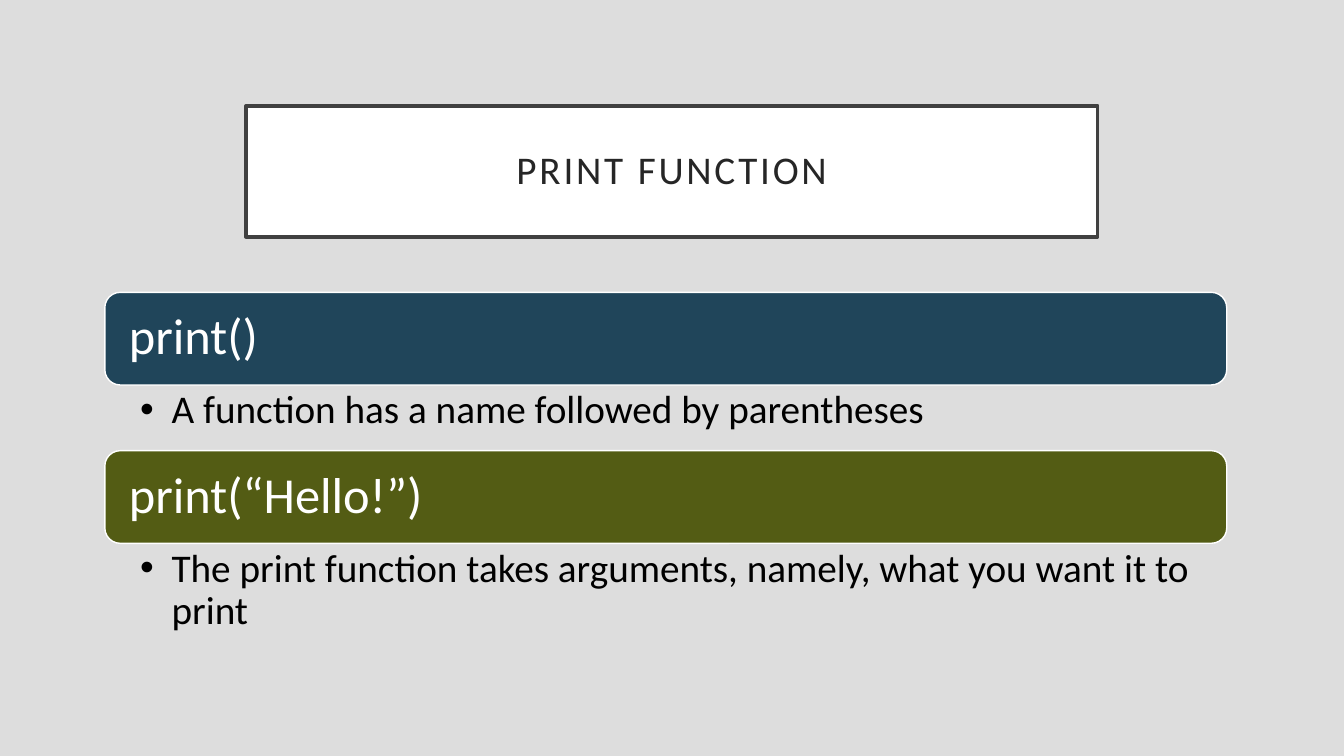
import pptx
import pptx.dml.color
import pptx.enum.shapes
import pptx.enum.text
import pptx.oxml
import pptx.oxml.ns
import pptx.util

Pt = pptx.util.Pt
LEFT, WIDTH = 74.9, 801.4
FIRST_TOP, PITCH, BAR_HEIGHT = 208.8, 113.1, 66.2
SECTIONS = [
    ("print()", "20455A", "A function has a name followed by parentheses", 46.8),
    ("print(“Hello!”)", "535C14",
     "The print function takes arguments, namely, what you want it to print", 66.2),
]


def color(value):
    """Return the colour of a hex string."""
    return pptx.dml.color.RGBColor.from_string(value)


def set_values(target, values):
    """Set each attribute of the target from a dict."""
    for name, value in values.items():
        setattr(target, name, value)


def paint(shape, fill, line, width):
    """Give a shape a solid fill and an outline."""
    shape.fill.solid()
    shape.fill.fore_color.rgb = color(fill)
    shape.line.color.rgb = color(line)
    shape.line.width = Pt(width)


def place(shape, left, top, width, height):
    """Move and size a shape in points."""
    set_values(shape, {"left": Pt(left), "top": Pt(top),
                       "width": Pt(width), "height": Pt(height)})


def write(shape, text, size, text_color, alignment, anchor, margins):
    """Write one formatted paragraph and return it."""
    frame = shape.text_frame
    names = ("margin_left", "margin_top", "margin_right", "margin_bottom")
    set_values(frame, {name: Pt(margin) for name, margin in zip(names, margins)})
    set_values(frame, {"word_wrap": True, "vertical_anchor": anchor,
                       "auto_size": pptx.enum.text.MSO_AUTO_SIZE.NONE})
    paragraph = frame.paragraphs[0]
    set_values(paragraph, {"alignment": alignment, "line_spacing": 0.9,
                           "space_before": Pt(0)})
    run = paragraph.add_run()
    run.text = text
    set_values(run.font, {"name": "Calibri", "size": Pt(size), "bold": False})
    run.font.color.rgb = color(text_color)
    return paragraph


def add_title(slide, text):
    """Format the title placeholder as a framed box."""
    title = slide.shapes.title
    place(title, 175.7, 75.6, 608.4, 93.6)
    paint(title, "FFFFFF", "404040", 2.5)
    paragraph = write(title, text, 28, "262626", pptx.enum.text.PP_ALIGN.CENTER,
                      pptx.enum.text.MSO_ANCHOR.MIDDLE, (14.4,) * 4)
    paragraph.runs[0].font._element.set("spc", "200")


def add_bar(slide, text, fill, top):
    """Add a rounded heading bar."""
    bar = slide.shapes.add_shape(pptx.enum.shapes.MSO_SHAPE.ROUNDED_RECTANGLE,
                                 Pt(LEFT), Pt(top), Pt(WIDTH), Pt(BAR_HEIGHT))
    bar.shadow.inherit = False
    paint(bar, fill, "FFFFFF", 1)
    write(bar, text, 36, "FFFFFF", pptx.enum.text.PP_ALIGN.LEFT,
          pptx.enum.text.MSO_ANCHOR.MIDDLE, (14, 10.8, 14, 10.8))


def fill_body(body, text, top, height):
    """Move a body placeholder and write its bullet."""
    place(body, LEFT, top, WIDTH, height)
    paragraph = write(body, text, 28, "000000", pptx.enum.text.PP_ALIGN.LEFT,
                      pptx.enum.text.MSO_ANCHOR.TOP, (25.2, 3.6, 20.2, 3.6))
    properties = paragraph._p.get_or_add_pPr()
    properties.set("marL", str(Pt(22.5)))
    properties.set("indent", str(-Pt(22.5)))
    bullet = pptx.oxml.parse_xml(
        f'<a:buChar {pptx.oxml.ns.nsdecls("a")} char="•"/>')
    properties.append(bullet)


def main():
    """Build and save the slide."""
    presentation = pptx.Presentation()
    set_values(presentation, {"slide_width": Pt(960), "slide_height": Pt(540)})
    slide = presentation.slides.add_slide(presentation.slide_layouts[3])
    slide.background.fill.solid()
    slide.background.fill.fore_color.rgb = color("DDDDDD")
    add_title(slide, "PRINT FUNCTION")
    for index, (heading, fill, detail, height) in enumerate(SECTIONS):
        top = FIRST_TOP + index * PITCH
        add_bar(slide, heading, fill, top)
        fill_body(slide.placeholders[index + 1], detail, top + BAR_HEIGHT, height)
    presentation.save("out.pptx")


if __name__ == "__main__":
    main()
